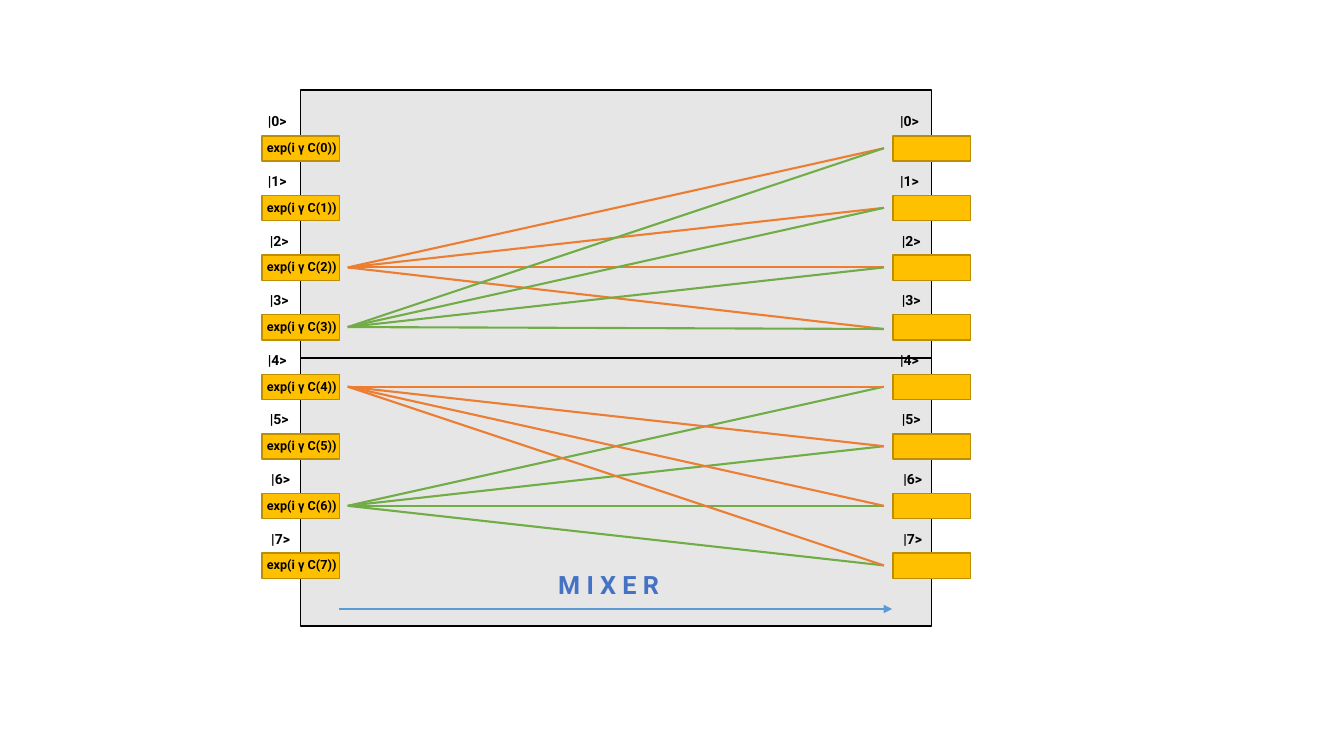
"""Build a slide that shows a mixer fanning amplitudes out between basis states."""
from dataclasses import dataclass

from lxml.etree import SubElement
from pptx import Presentation
from pptx.dml.color import RGBColor
from pptx.enum.shapes import MSO_CONNECTOR, MSO_SHAPE
from pptx.enum.text import PP_ALIGN
from pptx.oxml.ns import qn
from pptx.util import Pt


@dataclass(frozen=True)
class Theme:
    font: str = "Roboto"
    ink: str = "000000"
    panel: str = "E7E6E6"
    gold: str = "FFC000"
    gold_edge: str = "BD8E00"
    orange: str = "ED7D31"
    green: str = "70AD47"
    arrow: str = "5B9BD5"
    title: str = "4472C4"
    phase_size: float = 9
    state_size: float = 10
    title_size: float = 18


THEME = Theme()
PITCH = 42.57
BOX_TOP, BOX_W, BOX_H = 97.1, 55.4, 18
LEFT_BOX, RIGHT_BOX = 187.2, 637.9
FAN_START, FAN_END = 248.4, 631.4
LABEL_TOP = 77.2
LABEL_INDENTS = (0, 0, 1.4, 1.4, 0, 1.4, 2.4, 2.4)
TARGET_SHIFT = {3: 1.4}
FANS = (
    (6, range(4, 8), THEME.green),
    (2, range(4), THEME.orange),
    (4, range(4, 8), THEME.orange),
    (3, range(4), THEME.green),
)


def add_text(s, text, x, y, w, h, *, size, color=THEME.ink,
             align=PP_ALIGN.LEFT, inset=7.2):
    """Add a bold text box."""
    tf = s.shapes.add_textbox(Pt(x), Pt(y), Pt(w), Pt(h)).text_frame
    tf.word_wrap = True
    tf.margin_left = tf.margin_right = Pt(inset)
    p = tf.paragraphs[0]
    p.alignment = align
    r = p.add_run()
    r.text = text
    r.font.name = THEME.font
    r.font.size = Pt(size)
    r.font.bold = True
    r.font.color.rgb = RGBColor.from_string(color)


def add_rect(s, x, y, w, h, fill, edge):
    """Add a flat rectangle with a thin outline."""
    sp = s.shapes.add_shape(MSO_SHAPE.RECTANGLE, Pt(x), Pt(y), Pt(w), Pt(h))
    sp.shadow.inherit = False
    sp.fill.solid()
    sp.fill.fore_color.rgb = RGBColor.from_string(fill)
    sp.line.color.rgb = RGBColor.from_string(edge)
    sp.line.width = Pt(1)


def add_line(s, x1, y1, x2, y2, color, arrow=False):
    """Add a straight line, with an arrowhead at its end if asked."""
    sp = s.shapes.add_connector(MSO_CONNECTOR.STRAIGHT,
                                Pt(x1), Pt(y1), Pt(x2), Pt(y2))
    sp.line.color.rgb = RGBColor.from_string(color)
    sp.line.width = Pt(1.5)
    if arrow:
        SubElement(sp.line._get_or_add_ln(), qn("a:tailEnd"), type="triangle")
    SubElement(sp._element.spPr, qn("a:effectLst"))


def add_state(s, row):
    """Add the phase box on the left and the output box on the right."""
    y = BOX_TOP + row * PITCH
    for x in (LEFT_BOX, RIGHT_BOX):
        add_rect(s, x, y, BOX_W, BOX_H, THEME.gold, THEME.gold_edge)
    add_text(s, f"exp(i γ C({row}))", 182, y - 0.6, 67, BOX_H,
             size=THEME.phase_size, align=PP_ALIGN.CENTER, inset=0)


def add_labels(s, row):
    """Add the state label above the boxes on both sides."""
    for x in (184.3, 635.8):
        add_text(s, f"|{row}>", x + LABEL_INDENTS[row], LABEL_TOP + row * PITCH,
                 36, 19.4, size=THEME.state_size)


def add_fan(s, source, targets, color):
    """Add the lines from one source state to its target states."""
    middle = BOX_TOP + BOX_H / 2 - 0.2
    for target in targets:
        end = middle + target * PITCH + TARGET_SHIFT.get(target, 0)
        add_line(s, FAN_START, middle + source * PITCH, FAN_END, end, color)


def main():
    """Build and save the slide."""
    prs = Presentation()
    prs.slide_width, prs.slide_height = Pt(960), Pt(540)
    s = prs.slides.add_slide(prs.slide_layouts[6])
    add_rect(s, 214.6, 64.3, 450.7, 383, THEME.panel, THEME.ink)
    for row in range(8):
        add_state(s, row)
    for source, targets, color in FANS:
        add_fan(s, source, targets, color)
    add_line(s, 242, 435, 637.2, 435, THEME.arrow, arrow=True)
    add_text(s, "M I X E R", 391.7, 403.3, 96.5, 29,
             size=THEME.title_size, color=THEME.title)
    add_line(s, 214.6, 255.7, 665.3, 255.7, THEME.ink)
    for row in range(8):
        add_labels(s, row)
    prs.save("out.pptx")


if __name__ == "__main__":
    main()
